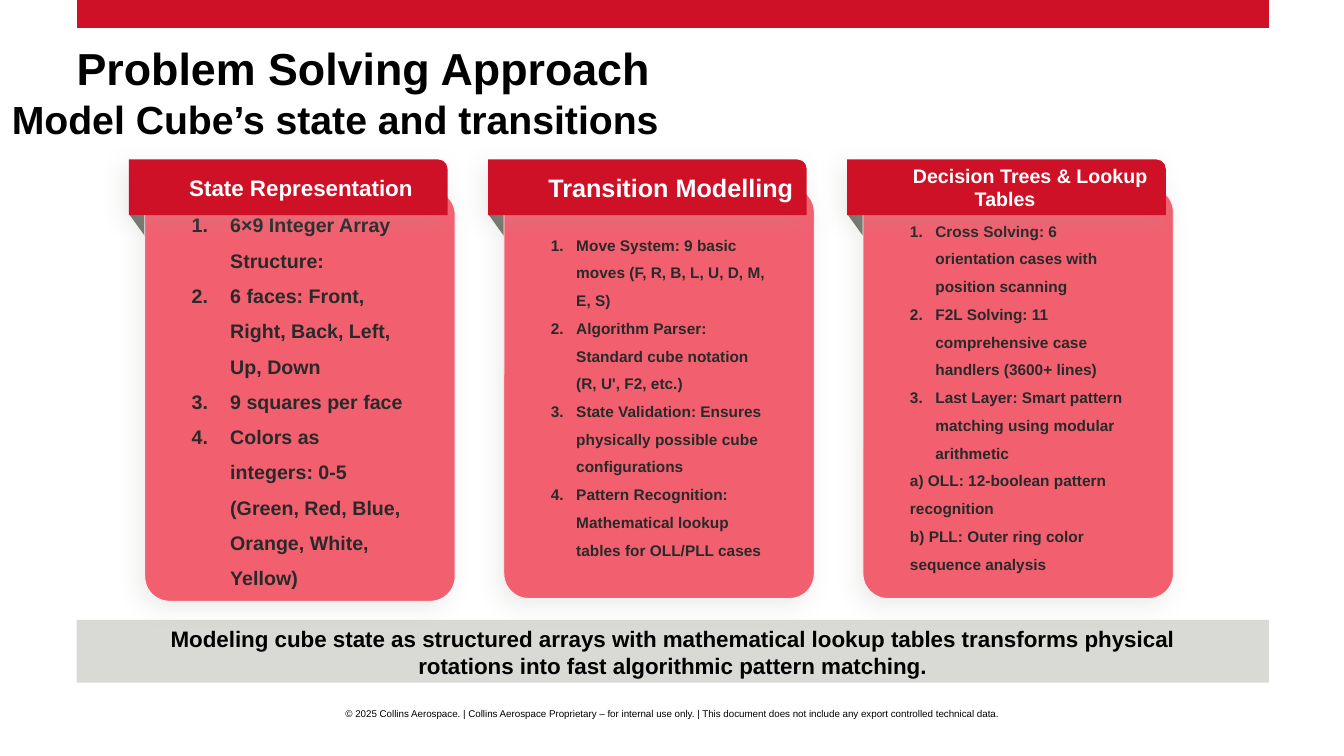
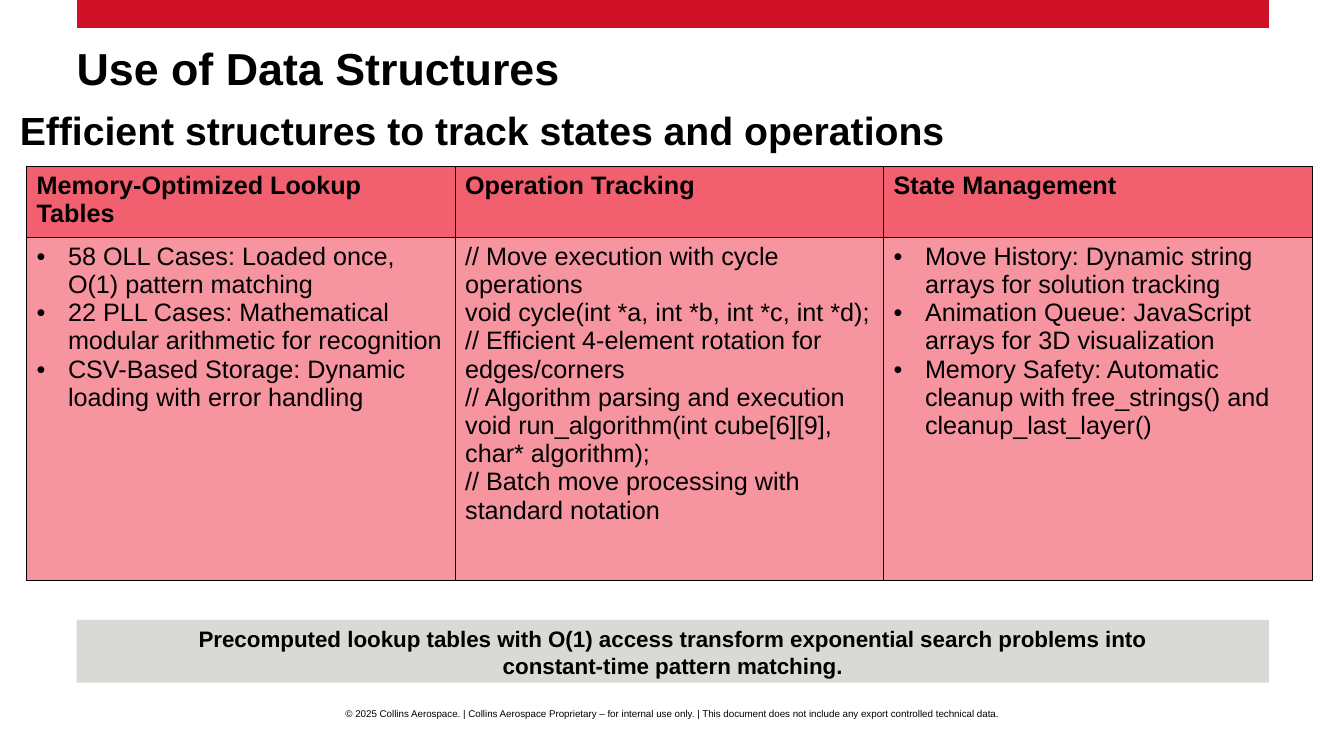
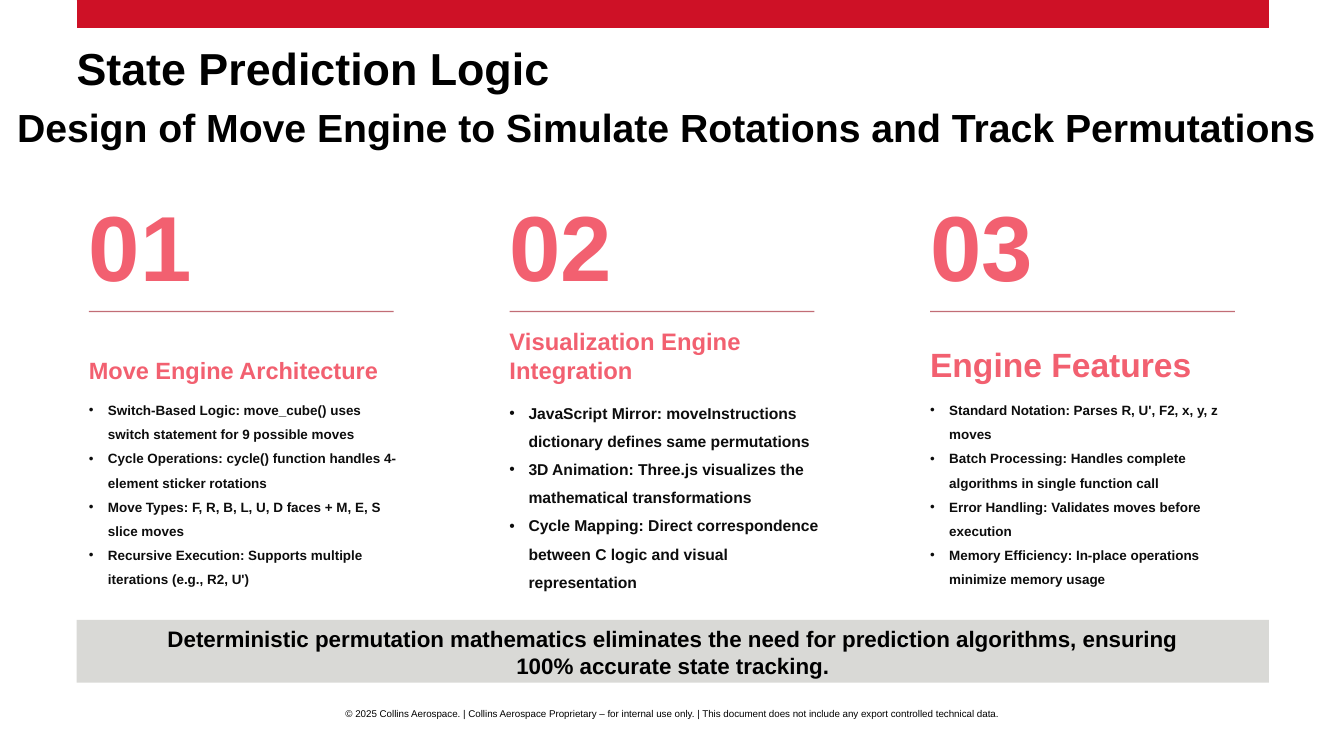
from lxml import etree
from pptx import Presentation
from pptx.dml.color import RGBColor
from pptx.enum.shapes import MSO_CONNECTOR, MSO_SHAPE
from pptx.enum.text import MSO_ANCHOR, MSO_AUTO_SIZE, PP_ALIGN
from pptx.oxml.ns import qn
from pptx.util import Cm, Pt

LEFT, CENTER = PP_ALIGN.LEFT, PP_ALIGN.CENTER
TOP, MIDDLE, BOTTOM = MSO_ANCHOR.TOP, MSO_ANCHOR.MIDDLE, MSO_ANCHOR.BOTTOM
NO_FIT = MSO_AUTO_SIZE.NONE
STRAIGHT = MSO_CONNECTOR.STRAIGHT
RECTANGLE, ROUNDED = MSO_SHAPE.RECTANGLE, MSO_SHAPE.ROUNDED_RECTANGLE
TAB, FOLD = MSO_SHAPE.ROUND_1_RECTANGLE, MSO_SHAPE.RIGHT_TRIANGLE

FONT = "Arial"
COLORS = {
    "red": "CE1126", "coral": "F26070", "pink": "F695A0", "dark_red": "9A0D1C",
    "gray": "D9D9D6", "fold": "707068", "shadow": "A5A59E", "edge": "F7F7F7",
    "black": "000000", "ink": "292929", "near_black": "0D0D0D", "white": "FFFFFF",
}
SLIDE_WIDTH, SLIDE_HEIGHT = 33.87, 19.05
MARGIN, CONTENT_WIDTH = 1.93, 30.05
TAKEAWAY_TOP = 15.62
FOOTER = ("© 2025 Collins Aerospace. | Collins Aerospace Proprietary – for internal use only. "
          "| This document does not include any export controlled technical data.")

CARDS = [
    dict(title="State Representation", title_size=16, title_align=LEFT,
         drop=0.77, size=14, indent=0.97, notes=[],
         steps=["6×9 Integer Array Structure:",
                "6 faces: Front, Right, Back, Left, Up, Down",
                "9 squares per face",
                "Colors as integers: 0-5 (Green, Red, Blue, Orange, White, Yellow)"]),
    dict(title="Transition Modelling", title_size=18, title_align=LEFT,
         drop=0.7, size=11, indent=0.64, notes=[],
         steps=["Move System: 9 basic moves (F, R, B, L, U, D, M, E, S)",
                "Algorithm Parser: Standard cube notation (R, U', F2, etc.)",
                "State Validation: Ensures physically possible cube configurations",
                "Pattern Recognition: Mathematical lookup tables for OLL/PLL cases"]),
    dict(title="Decision Trees & Lookup Tables", title_size=14, title_align=CENTER,
         drop=0.7, size=11, indent=0.64,
         notes=["a) OLL: 12-boolean pattern recognition",
                "b) PLL: Outer ring color sequence analysis"],
         steps=["Cross Solving: 6 orientation cases with position scanning",
                "F2L Solving: 11 comprehensive case handlers (3600+ lines)",
                "Last Layer: Smart pattern matching using modular arithmetic"]),
]

# Heading, bullet, lines of each table column
TABLE_COLUMNS = [
    ("Memory-Optimized Lookup Tables", "•",
     ["58 OLL Cases: Loaded once, O(1) pattern matching",
      "22 PLL Cases: Mathematical modular arithmetic for recognition",
      "CSV-Based Storage: Dynamic loading with error handling"]),
    ("Operation Tracking", None,
     ["// Move execution with cycle operations",
      "void cycle(int *a, int *b, int *c, int *d);",
      "// Efficient 4-element rotation for edges/corners",
      "// Algorithm parsing and execution",
      "void run_algorithm(int cube[6][9], char* algorithm);",
      "// Batch move processing with standard notation"]),
    ("State Management", "•",
     ["Move History: Dynamic string arrays for solution tracking",
      "Animation Queue: JavaScript arrays for 3D visualization",
      "Memory Safety: Automatic cleanup with free_strings() and cleanup_last_layer()"]),
]

# Heading, heading size, text size, points of each numbered column
ENGINE_COLUMNS = [
    ("Move Engine Architecture", 16.8, 9.6,
     ["Switch-Based Logic: move_cube() uses switch statement for 9 possible moves",
      "Cycle Operations: cycle() function handles 4-element sticker rotations",
      "Move Types: F, R, B, L, U, D faces + M, E, S slice moves",
      "Recursive Execution: Supports multiple iterations (e.g., R2, U')"]),
    ("Visualization Engine Integration", 17, 11.2,
     ["JavaScript Mirror: moveInstructions dictionary defines same permutations",
      "3D Animation: Three.js visualizes the mathematical transformations",
      "Cycle Mapping: Direct correspondence between C logic and visual representation"]),
    ("Engine Features", 24, 9.6,
     ["Standard Notation: Parses R, U', F2, x, y, z moves",
      "Batch Processing: Handles complete algorithms in single function call",
      "Error Handling: Validates moves before execution",
      "Memory Efficiency: In-place operations minimize memory usage"]),
]


def rgb(name):
    return RGBColor.from_string(COLORS[name])


def add_element(parent, tag, **attributes):
    element = etree.SubElement(parent, qn(tag))
    for key, value in attributes.items():
        element.set(key, str(value))
    return element


# Text
def write_text(frame, lines, size=18, color="black", bold=True, align=LEFT,
               spacing=None, bullet=None, left=0, first=0):
    """Append lines to a text frame, one paragraph each."""
    if isinstance(lines, str):
        lines = [lines]
    for line in lines:
        paragraph = frame.paragraphs[0]
        if paragraph.runs:
            paragraph = frame.add_paragraph()
        paragraph.alignment = align
        if spacing:
            paragraph.line_spacing = spacing
        properties = paragraph._p.get_or_add_pPr()
        properties.set("marL", str(Cm(left)))
        properties.set("indent", str(Cm(first)))
        if bullet == "1.":
            add_element(properties, "a:buFont", typeface="+mj-lt")
            add_element(properties, "a:buAutoNum", type="arabicPeriod")
        elif bullet:
            add_element(properties, "a:buFont", typeface=FONT)
            add_element(properties, "a:buChar", char=bullet)
        else:
            add_element(properties, "a:buNone")
        run = paragraph.add_run()
        run.text = line
        run.font.name, run.font.size, run.font.bold = FONT, Pt(size), bold
        run.font.color.rgb = rgb(color)


def set_frame(frame, anchor=TOP, inset_x=0, inset_y=0):
    frame.word_wrap = True
    frame.auto_size = NO_FIT
    frame.vertical_anchor = anchor
    frame.margin_left = frame.margin_right = Cm(inset_x)
    frame.margin_top = frame.margin_bottom = Cm(inset_y)
    return frame


def add_text(slide, box, lines, anchor=TOP, **text_format):
    text_box = slide.shapes.add_textbox(*map(Cm, box))
    write_text(set_frame(text_box.text_frame, anchor), lines, **text_format)


# Shapes and lines
def add_shape(slide, kind, box, fill, edge=None, shadow=False):
    shape = slide.shapes.add_shape(kind, *map(Cm, box))
    shape.fill.solid()
    shape.fill.fore_color.rgb = rgb(fill)
    if edge:
        shape.line.color.rgb, shape.line.width = rgb(edge), Pt(0.5)
    else:
        shape.line.fill.background()
    shape.shadow.inherit = False
    if shadow:
        effects = shape.element.spPr.find(qn("a:effectLst"))
        outer = add_element(effects, "a:outerShdw", blurRad=Pt(16), dist=Pt(6),
                            dir=135 * 60000, algn="tr", rotWithShape=0)
        tint = add_element(outer, "a:srgbClr", val=COLORS["shadow"])
        add_element(tint, "a:alpha", val=20000)
    return shape


def add_rule(slide, left, top, width, color, weight, opacity=None):
    rule = slide.shapes.add_connector(STRAIGHT, Cm(left), Cm(top), Cm(left + width), Cm(top))
    rule.line.color.rgb, rule.line.width = rgb(color), Pt(weight)
    properties = rule.element.spPr
    if opacity:
        tint = properties.find(".//" + qn("a:srgbClr"))
        add_element(tint, "a:alpha", val=opacity * 1000)
    add_element(properties, "a:effectLst")


# Parts shared by every slide
def add_slide(presentation, title, subtitle, subtitle_left, subtitle_top, takeaway):
    slide = presentation.slides.add_slide(presentation.slide_layouts[5])
    add_rule(slide, MARGIN, 0.36, CONTENT_WIDTH, "red", 20)

    add_text(slide, (subtitle_left, subtitle_top, SLIDE_WIDTH - 2 * subtitle_left,
                     TAKEAWAY_TOP - subtitle_top), subtitle, size=28)

    heading = slide.shapes.title
    heading.left, heading.top = Cm(MARGIN), Cm(1.3)
    heading.width, heading.height = Cm(CONTENT_WIDTH), Cm(1.88)
    write_text(set_frame(heading.text_frame), title, size=32, spacing=0.8)

    band = add_shape(slide, RECTANGLE, (MARGIN, TAKEAWAY_TOP, CONTENT_WIDTH, 1.58), "gray")
    write_text(set_frame(band.text_frame, BOTTOM, 1.73, 0.1), takeaway, size=16, align=CENTER)

    add_text(slide, (0, 17.83, SLIDE_WIDTH, 0.28), FOOTER, size=7, bold=False, align=CENTER)
    return slide


# Card with a folded heading tab
def add_card(slide, left, top, card):
    fold = add_shape(slide, FOLD, (left, top + 1.37, 0.46, 0.64), "fold")
    fold.rotation = 180

    body = add_shape(slide, ROUNDED, (left + 0.4, top + card["drop"], 7.82, 10.36),
                     "coral", edge="edge", shadow=True)
    body.adjustments[0] = 0.08
    frame = set_frame(body.text_frame, MIDDLE, 1, 1)
    text_format = dict(size=card["size"], color="ink", spacing=1.5)
    write_text(frame, card["steps"], bullet="1.", left=card["indent"],
               first=-card["indent"], **text_format)
    write_text(frame, card["notes"], **text_format)

    tab = add_shape(slide, TAB, (left, top, 8.03, 1.4), "red", shadow=True)
    write_text(set_frame(tab.text_frame, MIDDLE, 0.25, 0.13), card["title"],
               size=card["title_size"], color="white", align=card["title_align"], first=1.27)


# Table with a heading row and one row of lists
def fill_cell(cell, fill, lines, **text_format):
    cell.fill.solid()
    cell.fill.fore_color.rgb = rgb(fill)
    write_text(cell.text_frame, lines, **text_format)
    properties = cell._tc.get_or_add_tcPr()
    for index, side in enumerate(("a:lnL", "a:lnR", "a:lnT", "a:lnB")):
        border = etree.Element(qn(side), w=str(Pt(1)))
        solid = add_element(border, "a:solidFill")
        add_element(solid, "a:srgbClr", val=COLORS["black"])
        properties.insert(index, border)


def add_structure_table(slide, left, top, width):
    row_heights = (1.78, 8.64)
    frame = slide.shapes.add_table(2, len(TABLE_COLUMNS), Cm(left), Cm(top),
                                   Cm(width), Cm(sum(row_heights)))
    table = frame.table
    for row, height in zip(table.rows, row_heights):
        row.height = Cm(height)
    for index, (heading, bullet, lines) in enumerate(TABLE_COLUMNS):
        table.columns[index].width = Cm(width / len(TABLE_COLUMNS))
        indent = 0.79 if bullet else 0
        fill_cell(table.cell(0, index), "coral", heading)
        fill_cell(table.cell(1, index), "pink", lines, bold=False,
                  bullet=bullet, left=indent, first=-indent)


# Numbered column
def add_engine_column(slide, left, top, number, heading, heading_size, size, points):
    width = 7.85
    add_text(slide, (left, top, width, 3.35), f"{number:02}", BOTTOM, size=66, color="coral")
    add_rule(slide, left, top + 3.63, 7.68, "dark_red", 1, opacity=60)
    add_text(slide, (left, top + 4.21, width, 1.25), heading, BOTTOM,
             size=heading_size, color="coral")
    add_text(slide, (left, top + 5.71, width, 5.33), points, size=size, color="near_black",
             spacing=1.5, bullet="•", left=0.48, first=-0.48)


def main():
    presentation = Presentation()
    presentation.slide_width, presentation.slide_height = Cm(SLIDE_WIDTH), Cm(SLIDE_HEIGHT)

    slide = add_slide(
        presentation, "Problem Solving Approach", "Model Cube’s state and transitions", 0.3, 2.41,
        "Modeling cube state as structured arrays with mathematical lookup tables "
        "transforms physical rotations into fast algorithmic pattern matching.")
    for index, card in enumerate(CARDS):
        add_card(slide, 3.25 + 9.05 * index, 4.02, card)

    slide = add_slide(
        presentation, "Use of Data Structures",
        "Efficient structures to track states and operations", 0.5, 2.68,
        "Precomputed lookup tables with O(1) access transform exponential search "
        "problems into constant-time pattern matching.")
    add_structure_table(slide, 0.67, 4.2, 32.4)

    slide = add_slide(
        presentation, "State Prediction Logic",
        "Design of Move Engine to Simulate Rotations and Track Permutations", 0.43, 2.61,
        "Deterministic permutation mathematics eliminates the need for prediction "
        "algorithms, ensuring 100% accurate state tracking.")
    for index, column in enumerate(ENGINE_COLUMNS):
        add_engine_column(slide, 2.24 + 10.6 * index, 4.22, index + 1, *column)

    presentation.save("out.pptx")


if __name__ == "__main__":
    main()
